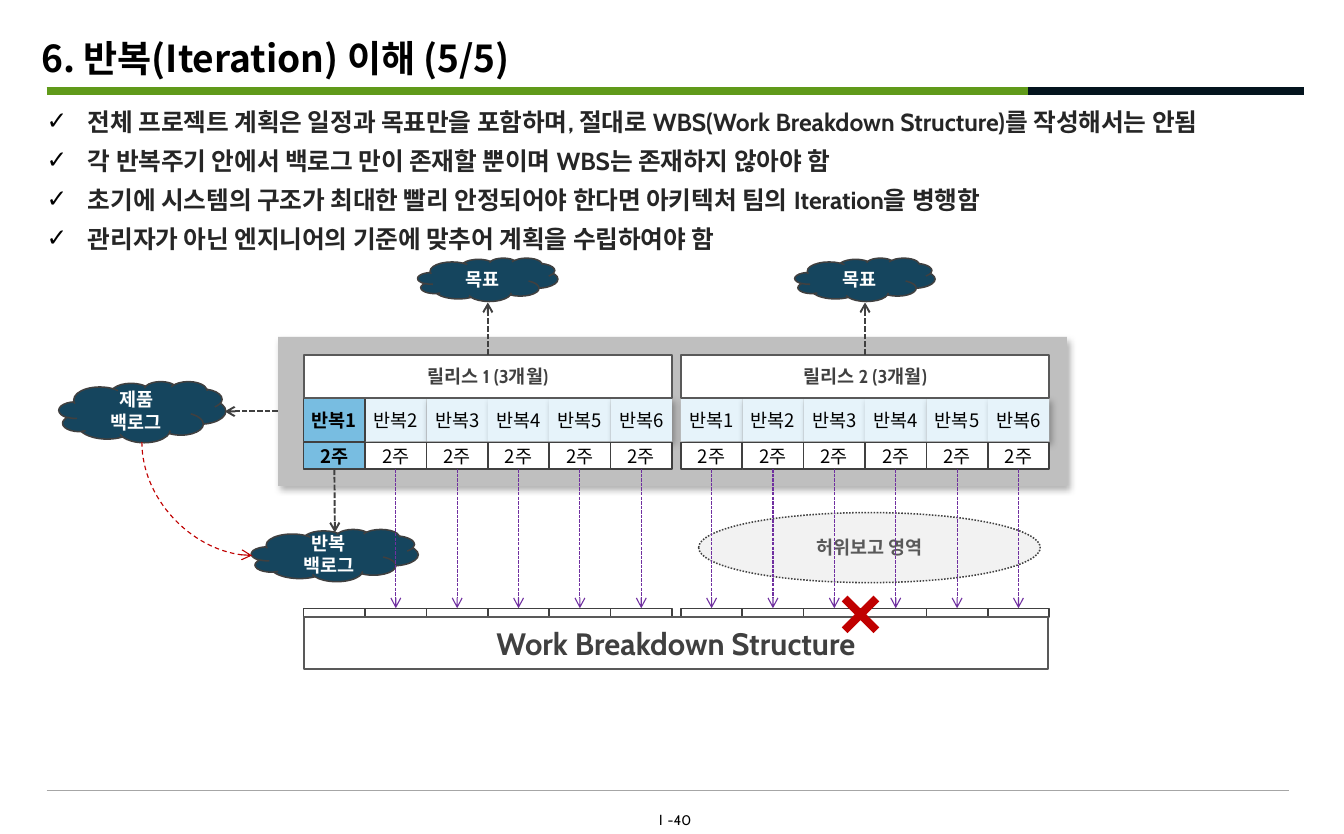
from lxml.etree import SubElement
from pptx import Presentation
from pptx.dml.color import RGBColor
from pptx.enum.dml import MSO_LINE
from pptx.enum.shapes import MSO_CONNECTOR, MSO_SHAPE
from pptx.enum.text import MSO_ANCHOR, PP_ALIGN
from pptx.oxml.ns import qn
from pptx.util import Inches, Pt

TITLE = "6. 반복(Iteration) 이해 (5/5)"
POINTS = [
    "전체 프로젝트 계획은 일정과 목표만을 포함하며, 절대로 WBS(Work Breakdown Structure)를 작성해서는 안됨",
    "각 반복주기 안에서 백로그 만이 존재할 뿐이며 WBS는 존재하지 않아야 함",
    "초기에 시스템의 구조가 최대한 빨리 안정되어야 한다면 아키텍처 팀의 Iteration을 병행함",
    "관리자가 아닌 엔지니어의 기준에 맞추어 계획을 수립하여야 함",
]
RELEASES = [("릴리스 1 (3개월)", 2.73), ("릴리스 2 (3개월)", 6.12)]
GOAL = "목표"
DURATION = "2주"
ITERATIONS = 6
PAGE = [("Ⅰ", "Noto Sans CJK KR"), ("-40", "Cabin")]

LATIN, KOREAN = "Cabin", "Noto Sans CJK KR"
COLORS = {
    "black": "000000", "white": "FFFFFF", "body": "262626", "dark": "404040",
    "mid": "595959", "rule": "A6A6A6", "green": "609A1A", "navy": "04141E",
    "cloud": "15455E", "panel": "BFBFBF", "zone": "F2F2F2", "cell": "E6F3FA",
    "current": "78BDE1", "red": "C00000", "purple": "7030A0",
}
RELEASE_WIDTH = 3.31
CELL_WIDTH = RELEASE_WIDTH / ITERATIONS
RELEASE_TOP, CELL_TOP, WEEK_TOP, STUB_TOP, WBS_TOP = 3.19, 3.58, 3.98, 5.47, 5.55


def rgb(color):
    return RGBColor.from_string(COLORS[color])


def format_run(run, size, color, font, bold):
    run.font.size, run.font.bold, run.font.name = Pt(size), bold, font
    run.font.color.rgb = rgb(color)
    SubElement(run._r.get_or_add_rPr(), qn("a:ea"), typeface=font)


def set_margins(frame, across, down):
    frame.margin_left = frame.margin_right = Inches(across)
    frame.margin_top = frame.margin_bottom = Inches(down)


def place(shape, left, top, width, height):
    shape.left, shape.top = Inches(left), Inches(top)
    shape.width, shape.height = Inches(width), Inches(height)


def add_box(kind, left, top, width, height, fill, line=None, weight=1):
    box = slide.shapes.add_shape(
        kind, Inches(left), Inches(top), Inches(width), Inches(height))
    box.shadow.inherit = False
    box.fill.solid()
    box.fill.fore_color.rgb = rgb(fill)
    if line:
        box.line.color.rgb = rgb(line)
        box.line.width = Pt(weight)
    else:
        box.line.fill.background()
    return box


def add_label(box, text, color, font=LATIN, bold=True, size=12):
    frame = box.text_frame
    frame.text = text
    frame.vertical_anchor = MSO_ANCHOR.MIDDLE
    frame.paragraphs[0].alignment = PP_ALIGN.CENTER
    format_run(frame.paragraphs[0].runs[0], size, color, font, bold)


def add_cell(column, top, height, text, fill, line):
    cell = add_box(MSO_SHAPE.RECTANGLE, column["left"], top, CELL_WIDTH, height, fill, line)
    set_margins(cell.text_frame, 0.04, 0.05)
    add_label(cell, text, "black", KOREAN, column["current"])
    return cell


def add_cloud(text, left, top, width, height):
    add_label(add_box(MSO_SHAPE.CLOUD, left, top, width, height, "cloud", "dark"), text, "white")


def drop_shadow(box):
    effects = box.element.spPr.find(qn("a:effectLst"))
    shadow = SubElement(effects, qn("a:outerShdw"), blurRad=str(Pt(4.5)),
                        dist=str(Pt(2.6)), dir=str(53 * 60000), rotWithShape="0")
    tint = SubElement(shadow, qn("a:srgbClr"), val=COLORS["black"])
    SubElement(tint, qn("a:alpha"), val="30000")


def add_line(start, end, color, weight, dash=None, arrow=False, kind=MSO_CONNECTOR.STRAIGHT):
    line = slide.shapes.add_connector(kind, *map(Inches, start + end))
    line.line.color.rgb = rgb(color)
    line.line.width = Pt(weight)
    if dash:
        line.line.dash_style = dash
    if arrow:
        SubElement(line.element.spPr.find(qn("a:ln")), qn("a:tailEnd"), type="arrow")
    SubElement(line.element.spPr, qn("a:effectLst"))
    return line


def add_link(start, end, source, site):
    """Dashed arrow leaving the given side of a rectangle."""
    link = add_line(start, end, "dark", 1.25, MSO_LINE.SQUARE_DOT, True)
    link.begin_connect(source, site)


presentation = Presentation()
presentation.slide_width, presentation.slide_height = Inches(12.08), Inches(7.5)
slide = presentation.slides.add_slide(presentation.slide_layouts[1])

# Title, rules and page number
title, body = slide.shapes.title, slide.placeholders[1]
place(title, 0.37, 0.28, 11.37, 0.47)
title.text_frame.text = TITLE
title.text_frame.vertical_anchor = MSO_ANCHOR.MIDDLE
set_margins(title.text_frame, 0, 0)
title.text_frame.paragraphs[0].alignment = PP_ALIGN.LEFT
format_run(title.text_frame.paragraphs[0].runs[0], 24, "black", KOREAN, True)
add_line((0.42, 0.82), (9.64, 0.82), "green", 5)
add_line((9.24, 0.82), (11.72, 0.82), "navy", 5)
add_line((0.42, 7.11), (11.59, 7.11), "rule", 0.25)

page_box = slide.shapes.add_textbox(Inches(5.13), Inches(7.24), Inches(1.83), Inches(0.26))
page_box.text_frame.word_wrap = True
page_line = page_box.text_frame.paragraphs[0]
page_line.alignment, page_line.line_spacing = PP_ALIGN.CENTER, 1.05
for text, font in PAGE:
    run = page_line.add_run()
    run.text = text
    format_run(run, 9, "black", font, False)

# Checked points
place(body, 0.38, 0.91, 11.34, 1.25)
set_margins(body.text_frame, 0.04, 0.05)
body.text_frame.text = "\n".join(POINTS)
for point in body.text_frame.paragraphs:
    point.space_before = Pt(6)
    format_run(point.runs[0], 16, "body", LATIN, True)
    properties = point._p.get_or_add_pPr()
    properties.set("marL", str(Inches(0.37)))
    properties.set("indent", str(Inches(-0.37)))
    bullet_color = SubElement(properties, qn("a:buClr"))
    SubElement(bullet_color, qn("a:srgbClr"), val=COLORS["black"])
    SubElement(properties, qn("a:buChar"), char="✓")

# Release plan
zone = add_box(MSO_SHAPE.OVAL, 6.28, 4.61, 3.07, 0.63, "zone", "dark")
zone.line.dash_style = MSO_LINE.ROUND_DOT
add_label(zone, "허위보고 영역", "mid")
panel = add_box(MSO_SHAPE.RECTANGLE, 2.5, 3.03, 7.09, 1.34, "panel")
drop_shadow(panel)

columns = [
    {"left": left + i * CELL_WIDTH, "name": f"반복{i + 1}", "current": release == i == 0}
    for release, (_, left) in enumerate(RELEASES) for i in range(ITERATIONS)
]
for column in columns[1:] + columns[:1]:  # the current iteration lies on top
    current = column["current"]
    iteration = add_cell(column, CELL_TOP, 0.39, column["name"],
                         "current" if current else "cell", "dark" if current else None)
    if not current:
        drop_shadow(iteration)
for column in columns:
    column["week"] = add_cell(column, WEEK_TOP, 0.24, DURATION,
                              "current" if column["current"] else "white", "dark")

for name, left in RELEASES:
    middle = left + RELEASE_WIDTH / 2
    add_cloud(GOAL, middle - 0.63, 2.32, 1.26, 0.39)
    release_bar = add_box(MSO_SHAPE.RECTANGLE, left, RELEASE_TOP, RELEASE_WIDTH, 0.39,
                          "white", "mid", 1.25)
    add_label(release_bar, name, "dark")
    add_link((middle, RELEASE_TOP), (middle, 2.72), release_bar, 0)

# Backlogs
add_cloud("제품 백로그", 0.53, 3.43, 1.5, 0.55)
add_cloud("반복 백로그", 2.26, 4.76, 1.5, 0.47)
add_link((2.5, 3.7), (2.02, 3.7), panel, 1)
add_link((3.01, 4.21), (3.01, 4.79), columns[0]["week"], 2)
handover = add_line((2.28, 3.99), (1.26, 4.98), "red", 0.75, MSO_LINE.DASH, True,
                    MSO_CONNECTOR.CURVE)
handover.element.spPr.find(qn("a:prstGeom")).set("prst", "curvedConnector2")
handover.element.spPr.find(qn("a:xfrm")).set("rot", str(270 * 60000))

# Work breakdown structure
for column in columns:
    stub = add_box(MSO_SHAPE.RECTANGLE, column["left"], STUB_TOP, CELL_WIDTH, 0.08,
                   "white", "dark")
    if not column["current"]:
        middle = column["left"] + CELL_WIDTH / 2
        drop = add_line((middle, 4.21), (middle, STUB_TOP), "purple", 0.75,
                        MSO_LINE.SQUARE_DOT, True)
        drop.begin_connect(column["week"], 2)
        drop.end_connect(stub, 0)
wbs = add_box(MSO_SHAPE.RECTANGLE, 2.73, WBS_TOP, 6.69, 0.47, "white", "mid", 1.25)
add_label(wbs, "Work Breakdown Structure", "dark", size=20)
cross = add_box(MSO_SHAPE.MATH_MULTIPLY, 7.46, 5.25, 0.55, 0.55, "red")
cross.adjustments[0] = 0.134

presentation.save("out.pptx")
